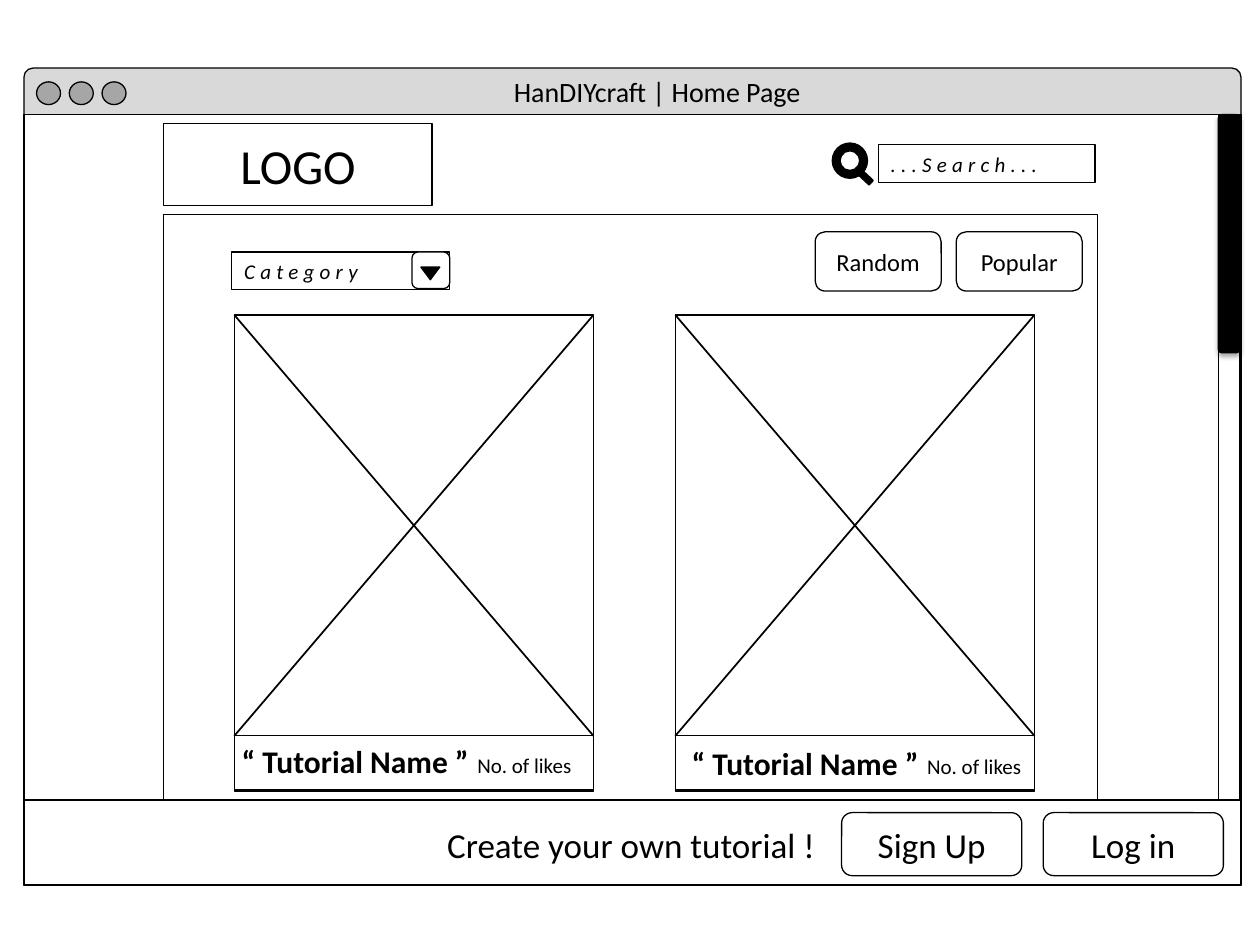
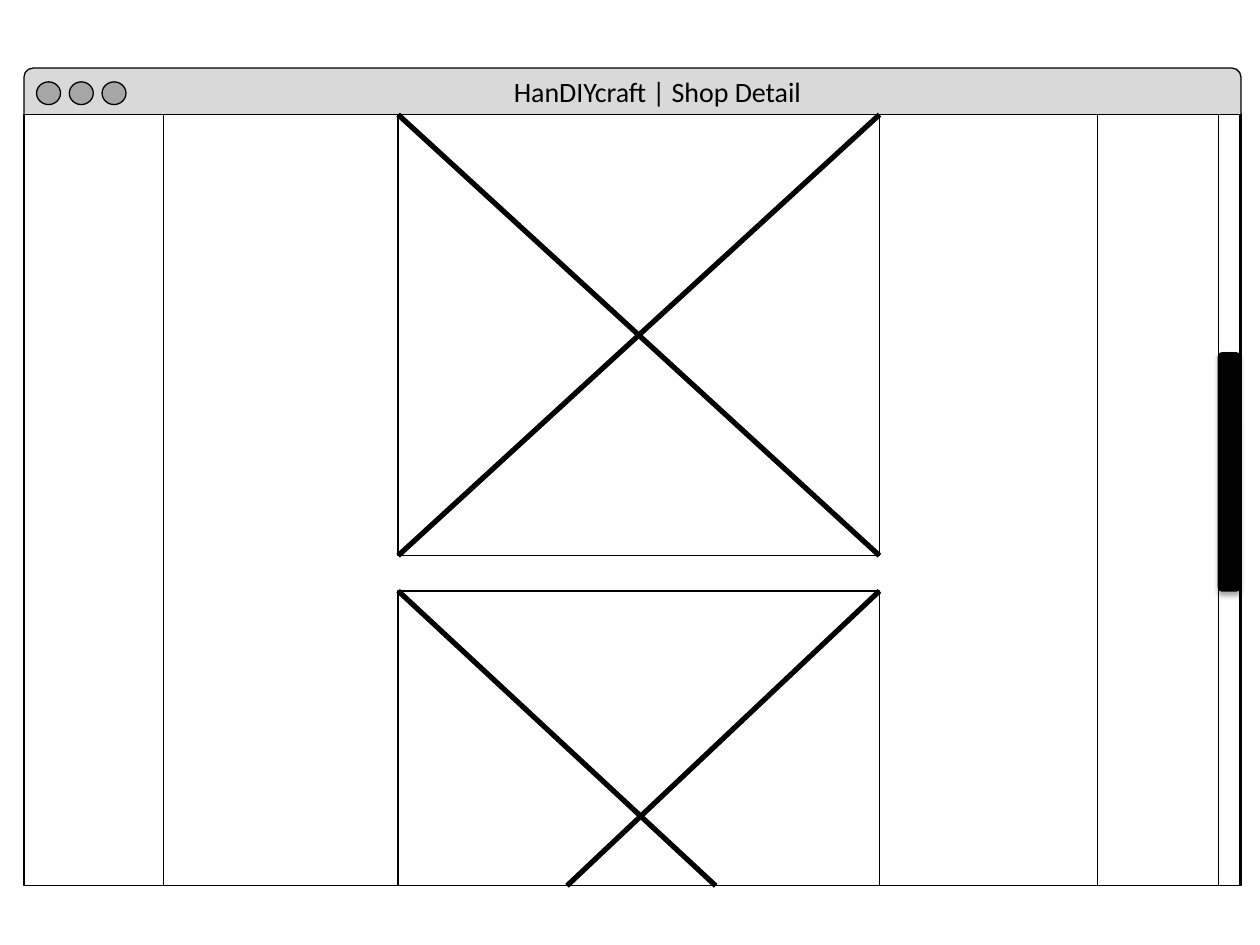
from lxml import etree
from pptx import Presentation
from pptx.dml.color import RGBColor
from pptx.enum.shapes import MSO_CONNECTOR, MSO_SHAPE
from pptx.enum.text import MSO_ANCHOR, PP_ALIGN
from pptx.oxml import parse_xml
from pptx.oxml.ns import nsdecls, qn
from pptx.util import Inches, Pt

RECTANGLE = MSO_SHAPE.RECTANGLE
ROUNDED = MSO_SHAPE.ROUNDED_RECTANGLE
OVAL = MSO_SHAPE.OVAL
DONUT = MSO_SHAPE.DONUT
TRIANGLE = MSO_SHAPE.ISOSCELES_TRIANGLE
STRAIGHT = MSO_CONNECTOR.STRAIGHT
LEFT, CENTER = PP_ALIGN.LEFT, PP_ALIGN.CENTER
MIDDLE, TOP = MSO_ANCHOR.MIDDLE, MSO_ANCHOR.TOP

FONT = "Calibri"
BLACK, WHITE = "000000", "FFFFFF"
BAR_GRAY, BUTTON_GRAY = "D9D9D9", "A6A6A6"
WINDOW_LEFT, WINDOW_TOP = 0.19, 0.91
WINDOW_WIDTH, WINDOW_HEIGHT = 9.66, 6.12
PAGE_LEFT, PAGE_WIDTH = 1.3, 7.41
FOOTER_TOP = 6.35


def add_box(slide, kind, bounds, fill=None, line=BLACK, text="", size=12,
            align=CENTER, bold=False, italic=False, spacing=0, wrap=True):
    left, top, width, height = [Inches(value) for value in bounds]
    if kind is None:
        shape = slide.shapes.add_textbox(left, top, width, height)
    else:
        shape = slide.shapes.add_shape(kind, left, top, width, height)
        shape.shadow.inherit = False
        if fill:
            shape.fill.solid()
            shape.fill.fore_color.rgb = RGBColor.from_string(fill)
        else:
            shape.fill.background()
        if line:
            shape.line.color.rgb = RGBColor.from_string(line)
            shape.line.width = Pt(0.75)
        else:
            shape.line.fill.background()
    if text:
        frame = shape.text_frame
        frame.word_wrap = wrap
        frame.vertical_anchor = TOP if kind is None else MIDDLE
        paragraph = frame.paragraphs[0]
        paragraph.alignment = align
        run = paragraph.add_run()
        run.text = text
        run.font.name = FONT
        run.font.size = Pt(size)
        run.font.bold = bold
        run.font.italic = italic
        run.font.color.rgb = RGBColor.from_string(BLACK)
        if spacing:
            run._r.get_or_add_rPr().set("spc", str(spacing * 100))
    return shape


def add_line(slide, start, end, width):
    connector = slide.shapes.add_connector(
        STRAIGHT, *[Inches(value) for value in (*start, *end)])
    connector.line.color.rgb = RGBColor.from_string(BLACK)
    connector.line.width = Pt(width)
    etree.SubElement(connector._element.spPr, qn("a:effectLst"))


presentation = Presentation()
presentation.slide_width = Inches(10)
presentation.slide_height = Inches(7.5)
blank_layout = presentation.slide_layouts[6]

pages = [
    ("HanDIYcraft | Home Page", 1.7, FOOTER_TOP, WINDOW_TOP),
    ("HanDIYcraft | Shop Detail", WINDOW_TOP, WINDOW_TOP + WINDOW_HEIGHT, 2.8),
]
slides = []
for title, page_top, track_bottom, thumb_top in pages:
    slide = presentation.slides.add_slide(blank_layout)
    slides.append(slide)
    add_box(slide, ROUNDED, (WINDOW_LEFT, 0.54, WINDOW_WIDTH, 0.44), BAR_GRAY)
    add_box(slide, RECTANGLE, (WINDOW_LEFT, WINDOW_TOP, WINDOW_WIDTH, WINDOW_HEIGHT), WHITE)
    for index in range(3):
        add_box(slide, OVAL, (0.29 + 0.26 * index, 0.65, 0.19, 0.18), BUTTON_GRAY)
    add_box(slide, None, (3.98, 0.54, 3.27, 0.37), text=title, size=16, align=LEFT)
    add_box(slide, RECTANGLE,
            (PAGE_LEFT, page_top, PAGE_WIDTH, WINDOW_TOP + WINDOW_HEIGHT - page_top), WHITE)
    add_box(slide, RECTANGLE, (9.67, WINDOW_TOP, 0.17, track_bottom - WINDOW_TOP), WHITE)
    thumb = add_box(slide, ROUNDED, (9.67, thumb_top, 0.17, 1.89), BLACK)
    thumb._element.spPr.find(qn("a:effectLst")).append(parse_xml(
        f'<a:outerShdw {nsdecls("a")} blurRad="{Pt(3.1)}" dist="{Pt(1.8)}" dir="5400000" '
        f'rotWithShape="0"><a:srgbClr val="{BLACK}"><a:alpha val="35000"/></a:srgbClr>'
        '</a:outerShdw>'))

home, shop = slides

add_box(home, RECTANGLE, (WINDOW_LEFT, FOOTER_TOP, WINDOW_WIDTH, 0.67), WHITE)
add_box(home, None, (3.45, 6.49, 3.42, 0.44),
        text="Create your own tutorial !", size=20, align=LEFT)

buttons = [
    ("Sign Up", (6.68, 6.45, 1.43, 0.5), 20),
    ("Log in", (8.28, 6.45, 1.43, 0.5), 20),
    ("Random", (6.47, 1.84, 1, 0.47), 14),
    ("Popular", (7.59, 1.84, 1, 0.47), 14),
]
for label, bounds, size in buttons:
    add_box(home, ROUNDED, bounds, text=label, size=size)

card_top, caption_top, card_width = 2.5, 5.84, 2.85
cards = [(1.86, 1.82, 5.84, 3.69, 5.92), (5.36, 5.39, 5.86, 7.26, 5.93)]
for card_left, name_left, name_top, likes_left, likes_top in cards:
    card_right = card_left + card_width
    add_box(home, RECTANGLE, (card_left, card_top, card_width, 3.78), WHITE)
    add_box(home, RECTANGLE, (card_left, caption_top, card_width, 0.43), WHITE)
    add_line(home, (card_left, card_top), (card_right, caption_top), 1)
    add_line(home, (card_left, caption_top), (card_right, card_top), 1)
    add_box(home, None, (name_left, name_top, 2.04, 0.4),
            text="“ Tutorial Name ”", size=18, align=LEFT, bold=True, wrap=False)
    add_box(home, None, (likes_left, likes_top, 0.96, 0.3),
            text="No. of likes", align=LEFT, wrap=False)

add_box(home, RECTANGLE, (6.97, 1.15, 1.72, 0.3),
        text="...Search...", align=LEFT, italic=True, spacing=3)
add_box(home, DONUT, (6.6, 1.13, 0.29, 0.29), BLACK, None)
search_handle = add_box(home, ROUNDED, (6.78, 1.37, 0.16, 0.06), BLACK, None)
search_handle.rotation = 43.1

add_box(home, RECTANGLE, (1.84, 2, 1.73, 0.3), WHITE,
        text="Category", align=LEFT, italic=True, spacing=3)
add_box(home, ROUNDED, (3.27, 2, 0.3, 0.29), WHITE)
dropdown_arrow = add_box(home, TRIANGLE, (3.34, 2.12, 0.15, 0.1), BLACK)
dropdown_arrow.rotation = 180

add_box(home, RECTANGLE, (PAGE_LEFT, 0.98, 2.13, 0.65), WHITE, text="LOGO", size=28)

photo_left, photo_width = 3.16, 3.82
photo_right = photo_left + photo_width
photos = [
    (WINDOW_TOP, 4.41, photo_left, photo_right),
    (4.69, 7.03, 4.5, 5.68),
]
for photo_top, photo_bottom, rising_start, falling_end in photos:
    add_box(shop, RECTANGLE, (photo_left, photo_top, photo_width, photo_bottom - photo_top))
    add_line(shop, (photo_left, photo_top), (falling_end, photo_bottom), 3)
    add_line(shop, (rising_start, photo_bottom), (photo_right, photo_top), 3)

presentation.save("out.pptx")
